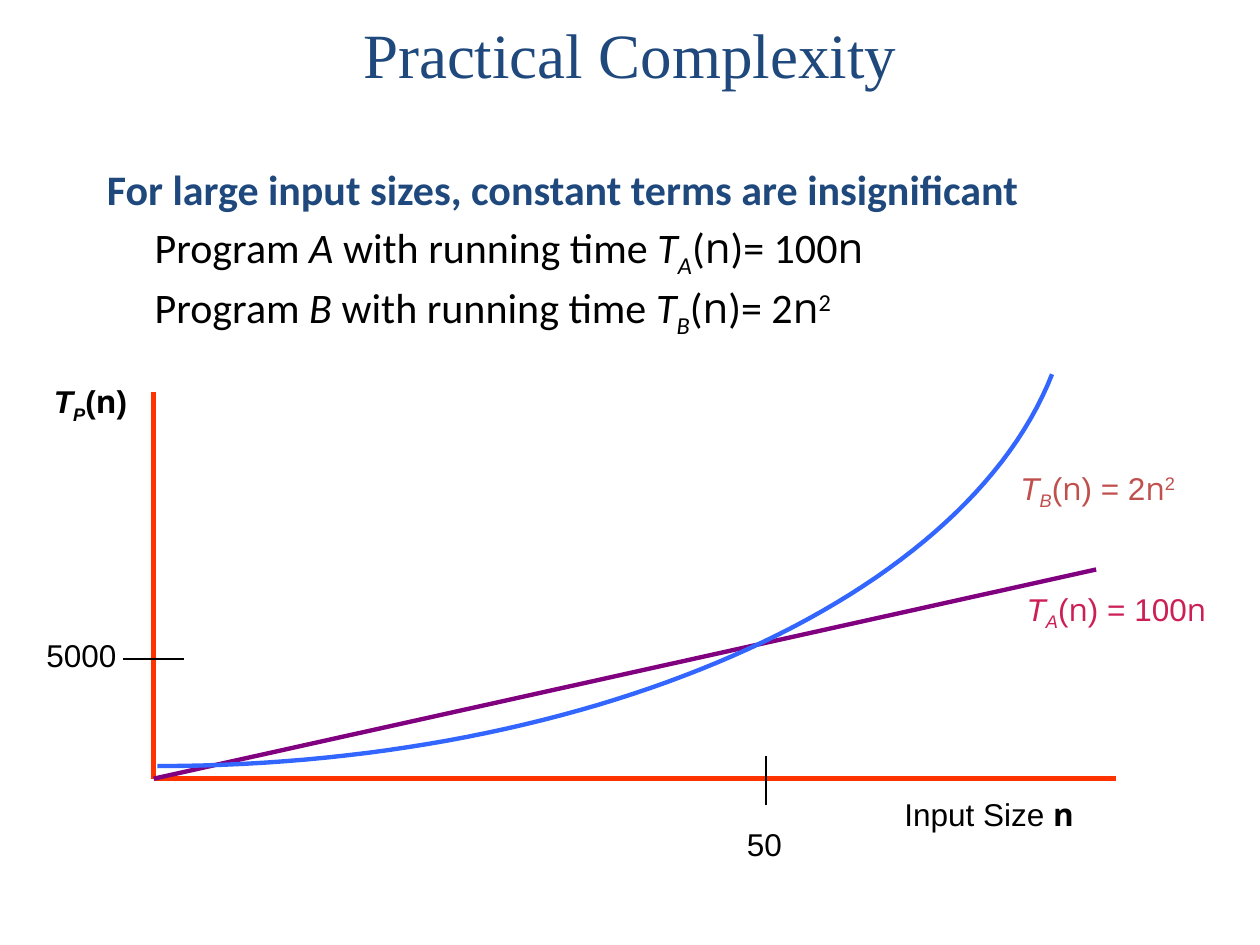
from typing import NamedTuple

from lxml import etree
from pptx import Presentation
from pptx.dml.color import RGBColor
from pptx.enum.shapes import MSO_CONNECTOR
from pptx.enum.text import MSO_ANCHOR, PP_ALIGN
from pptx.oxml.ns import qn
from pptx.util import Inches, Pt

STRAIGHT = MSO_CONNECTOR.STRAIGHT
MIDDLE, TOP = MSO_ANCHOR.MIDDLE, MSO_ANCHOR.TOP
CENTER, LEFT = PP_ALIGN.CENTER, PP_ALIGN.LEFT

COLORS = {
    "navy": "1F497D",
    "black": "000000",
    "axis": "FF3300",
    "linear": "800080",
    "quadratic": "3366FF",
    "linear_label": "CC1F55",
    "quadratic_label": "C0504D",
}


class Run(NamedTuple):
    text: str
    italic: bool = False
    baseline: int = 0
    font: str | None = None
    bold: bool | None = None


class Line(NamedTuple):
    start: tuple[float, float]
    end: tuple[float, float]
    color: str
    width: float


class Label(NamedTuple):
    box: tuple[float, float, float, float]
    runs: list[Run]
    color: str = "black"
    bold: bool = False
    wrap: bool = False


N = Run("n", font="Open Sans")
SQUARED = Run("2", baseline=30000)


def running_time(program: str, equals: str) -> list[Run]:
    return [Run("T", True), Run(program, True, -25000), Run("("), N, Run(equals)]


def program_line(program: str, equals: str) -> list[Run]:
    return [Run("Program "), Run(program, True), Run(" with running time "),
            *running_time(program, equals), N]


ORIGIN = (1.22, 6.18)
LINES = [
    Line((1.22, 3.11), ORIGIN, "axis", 3),
    Line(ORIGIN, (8.86, 6.18), "axis", 3),
    Line(ORIGIN, (8.7, 4.52), "linear", 2.5),
    Line((6.08, 6), (6.08, 6.39), "black", 0.75),
    Line((0.98, 5.23), (1.46, 5.23), "black", 0.75),
]
CURVE_CONTROLS = [(1.25, 6.08), (4.68, 6.08), (7.64, 4.78), (8.35, 2.97)]
CURVE_STEPS = 60

LABELS = [
    Label((0.33, 2.98, 0.81, 0.4), running_time("P", ")"), bold=True),
    Label((8.05, 4.63, 1.69, 0.4), [*running_time("A", ") = 100"), N], "linear_label"),
    Label((8, 3.67, 1.67, 0.4), [*running_time("B", ") = 2"), N, SQUARED],
          "quadratic_label", wrap=True),
    Label((5.83, 6.5, 0.48, 0.4), [Run("50")]),
    Label((0.27, 5, 0.76, 0.4), [Run("5000")]),
    Label((7.08, 6.26, 1.56, 0.4), [Run("Input Size "), N._replace(bold=True)]),
]


def add_runs(paragraph, runs: list[Run], *, font: str, size: float, color: str,
             bold: bool = False) -> None:
    for item in runs:
        run = paragraph.add_run()
        run.text = item.text
        run.font.name = item.font or font
        run.font.size = Pt(size)
        run.font.bold = bold if item.bold is None else item.bold
        run.font.italic = item.italic
        run.font.color.rgb = RGBColor.from_string(COLORS[color])
        if item.baseline:
            run.font._element.set("baseline", str(item.baseline))


def add_text(slide, box: tuple[float, float, float, float], runs: list[Run], *,
             font: str = "Arial", size: float = 18, color: str = "black",
             bold: bool = False, wrap: bool = True, anchor=TOP, align=LEFT):
    shape = slide.shapes.add_textbox(*map(Inches, box))
    frame = shape.text_frame
    frame.word_wrap = wrap
    frame.vertical_anchor = anchor
    paragraph = frame.paragraphs[0]
    paragraph.alignment = align
    add_runs(paragraph, runs, font=font, size=size, color=color, bold=bold)
    return frame


def add_body(slide) -> None:
    heading = [Run("For large input sizes, constant terms are insignificant")]
    frame = add_text(slide, (0.75, 1.29, 8.5, 1.63), heading,
                     font="Calibri", size=24, color="navy", bold=True)
    programs = [program_line("A", ")= 100"), [*program_line("B", ")= 2"), SQUARED]]
    for runs in programs:
        paragraph = frame.add_paragraph()
        paragraph._p.get_or_add_pPr().set("marL", str(Inches(0.38)))
        add_runs(paragraph, runs, font="Calibri", size=24, color="black")
    for paragraph in frame.paragraphs:
        paragraph.line_spacing = 0.9
        paragraph.space_before = Pt(4.8)


def add_line(slide, line: Line) -> None:
    connector = slide.shapes.add_connector(
        STRAIGHT, *map(Inches, (*line.start, *line.end)))
    connector.line.color.rgb = RGBColor.from_string(COLORS[line.color])
    connector.line.width = Pt(line.width)
    etree.SubElement(connector._element.spPr, qn("a:effectLst"))


def curve_point(step: int) -> tuple[int, int]:
    t = step / CURVE_STEPS
    weights = ((1 - t) ** 3, 3 * t * (1 - t) ** 2, 3 * t * t * (1 - t), t ** 3)
    x, y = (sum(weight * value for weight, value in zip(weights, values))
            for values in zip(*CURVE_CONTROLS))
    return Inches(x), Inches(y)


def add_curve(slide) -> None:
    points = [curve_point(step) for step in range(CURVE_STEPS + 1)]
    builder = slide.shapes.build_freeform(*points[0])
    builder.add_line_segments(points[1:], close=False)
    shape = builder.convert_to_shape()
    shape.shadow.inherit = False
    shape.fill.background()
    shape.line.color.rgb = RGBColor.from_string(COLORS["quadratic"])
    shape.line.width = Pt(2.5)


def main() -> None:
    presentation = Presentation()
    presentation.slide_width = Inches(10)
    presentation.slide_height = Inches(7.5)
    slide = presentation.slides.add_slide(presentation.slide_layouts[6])
    add_text(slide, (0.5, 0.17, 9, 0.5), [Run("Practical Complexity")],
             font="Times New Roman", size=36, color="navy", anchor=MIDDLE, align=CENTER)
    add_body(slide)
    for line in LINES:
        add_line(slide, line)
    add_curve(slide)
    for label in LABELS:
        add_text(slide, label.box, label.runs, color=label.color,
                 bold=label.bold, wrap=label.wrap)
    presentation.save("out.pptx")


if __name__ == "__main__":
    main()
